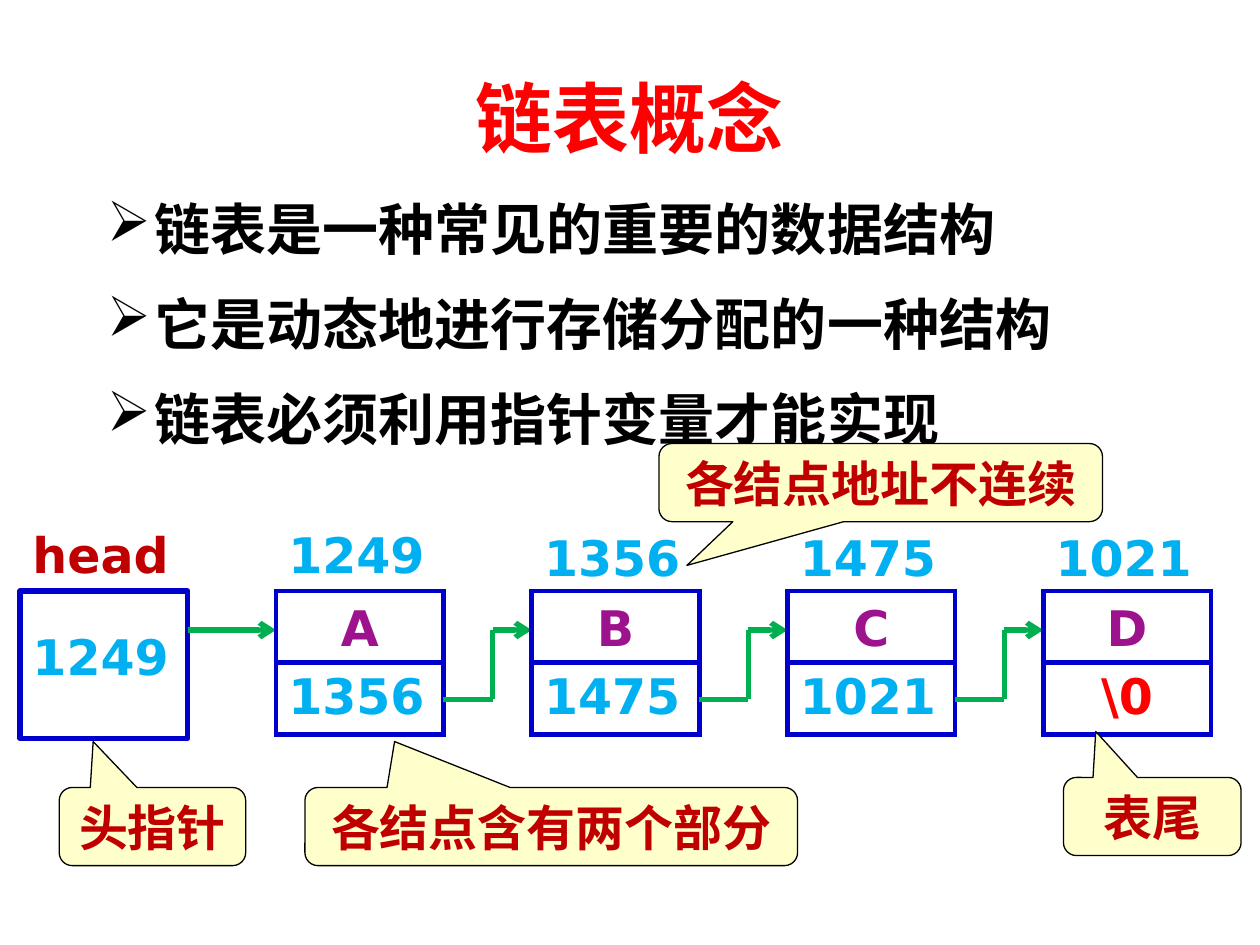
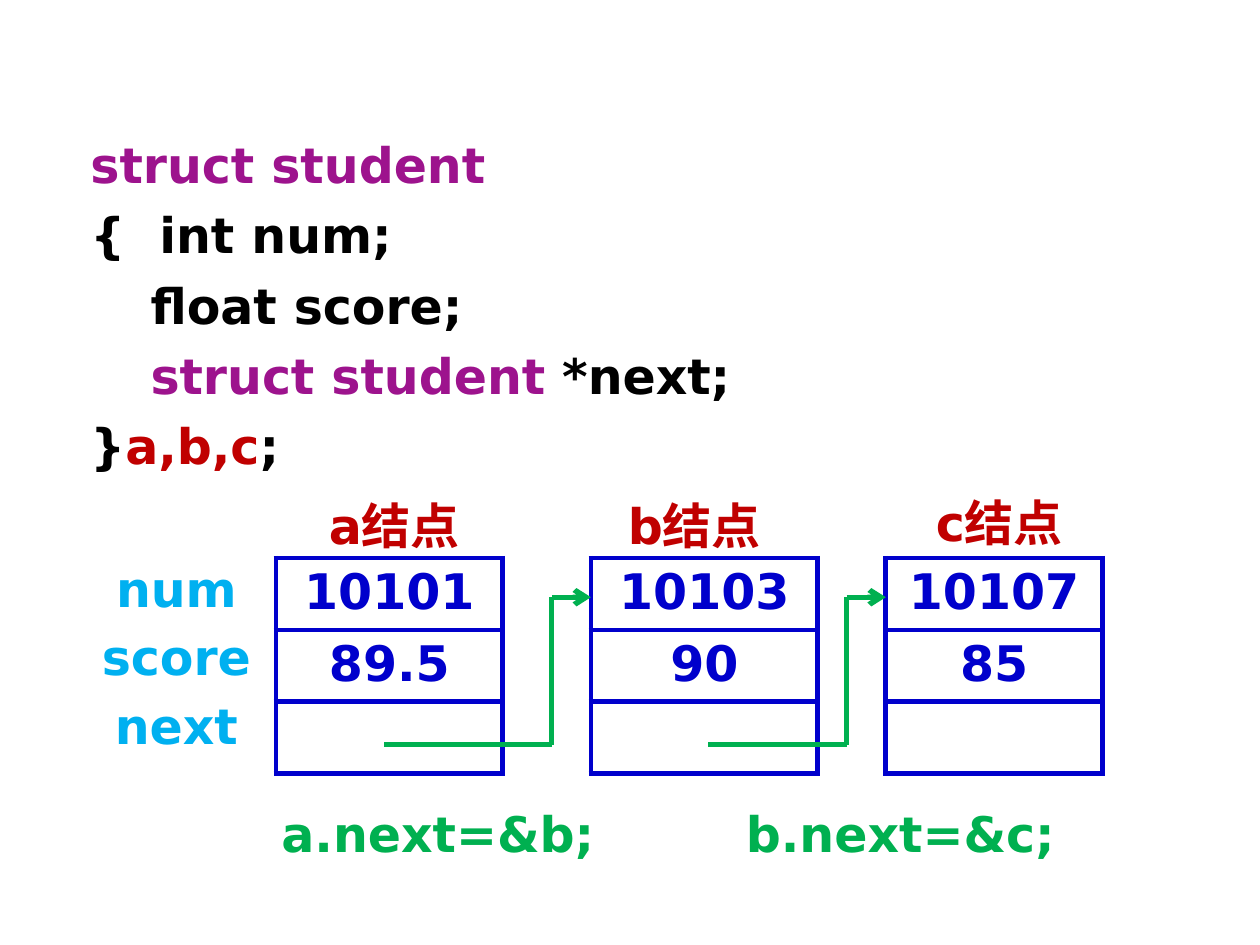
from lxml import etree
from pptx import Presentation
from pptx.dml.color import RGBColor
from pptx.enum.shapes import MSO_CONNECTOR, MSO_SHAPE
from pptx.enum.text import MSO_ANCHOR, PP_ALIGN
from pptx.oxml.ns import qn
from pptx.util import Inches, Pt

COLORS = {
    "title": "FF0000",
    "end": "FF0000",
    "text": "000000",
    "name": "C00000",
    "address": "00B0F0",
    "keyword": "9D138D",
    "frame": "0000CC",
    "link": "00B050",
    "note": "FFFFCC",
    "paper": "FFFFFF",
}
FONT = "DejaVu Sans"
LABEL_HEIGHT = 0.57
ROW_HEIGHT = 0.57
FRAME_WIDTH = Pt(3)


def color(name):
    return RGBColor.from_string(COLORS[name])


def style_font(font, color_name=None, size=28, face=FONT):
    font.name, font.size, font.bold = face, Pt(size), True
    if color_name:
        font.color.rgb = color(color_name)


def add_text_box(page, left, top, width, height):
    box = page.shapes.add_textbox(*map(Inches, (left, top, width, height)))
    box.text_frame.word_wrap = True
    return box.text_frame


def add_label(page, text, left, top, width, color_name, align=PP_ALIGN.CENTER):
    para = add_text_box(page, left, top, width, LABEL_HEIGHT).paragraphs[0]
    para.text = text
    para.alignment = align
    style_font(para.font, color_name)


def add_line(page, start, end, arrow=False):
    line = page.shapes.add_connector(MSO_CONNECTOR.STRAIGHT, *map(Inches, start + end))
    line.line.color.rgb = color("link")
    line.line.width = FRAME_WIDTH
    if arrow:
        etree.SubElement(line.line._get_or_add_ln(), qn("a:tailEnd"), type="arrow")
    etree.SubElement(line._element.spPr, qn("a:effectLst"))


def add_link(page, start, turn, end):
    corner_low, corner_high = (turn, start[1]), (turn, end[1])
    add_line(page, start, corner_low)
    add_line(page, corner_low, corner_high)
    add_line(page, corner_high, end, arrow=True)


def frame_cell(cell):
    properties = cell._tc.get_or_add_tcPr()
    for side in ("a:lnL", "a:lnR", "a:lnT", "a:lnB"):
        edge = etree.SubElement(properties, qn(side), w=str(FRAME_WIDTH))
        fill = etree.SubElement(edge, qn("a:solidFill"))
        etree.SubElement(fill, qn("a:srgbClr"), val=COLORS["frame"])
    cell.fill.solid()
    cell.fill.fore_color.rgb = color("paper")


def add_node(page, left, top, width, values):
    rows = len(values)
    frame = page.shapes.add_table(
        rows, 1, *map(Inches, (left, top, width, ROW_HEIGHT * rows))
    )
    table = frame.table
    table.first_row = table.horz_banding = False
    for row, value in enumerate(values):
        cell = table.cell(row, 0)
        frame_cell(cell)
        if value:
            para = cell.text_frame.paragraphs[0]
            para.text = value
            para.alignment = PP_ALIGN.CENTER
            style_font(para.font, "frame")


def add_shape(page, kind, box, fill, line, line_width):
    shape = page.shapes.add_shape(kind, *map(Inches, box))
    shape.shadow.inherit = False
    shape.fill.solid()
    shape.fill.fore_color.rgb = color(fill)
    shape.line.color.rgb = color(line)
    shape.line.width = line_width
    return shape


def add_callout(page, text, left, top, width, tip=(-0.318, -1.088)):
    shape = add_shape(page, MSO_SHAPE.ROUNDED_RECTANGULAR_CALLOUT,
                      (left, top, width, 0.62), "note", "text", Pt(0.75))
    shape.adjustments[0], shape.adjustments[1] = tip
    shape.text_frame.word_wrap = False
    para = shape.text_frame.paragraphs[0]
    para.text = text
    para.alignment = PP_ALIGN.CENTER
    style_font(para.font, "name")


def add_title(page, text):
    frame = add_text_box(page, 0.5, 0.3, 9, 1.25)
    frame.vertical_anchor = MSO_ANCHOR.MIDDLE
    para = frame.paragraphs[0]
    para.text = text
    para.alignment = PP_ALIGN.CENTER
    style_font(para.font, "title", 44, "Calibri")


def add_bullets(page, items, left, top, width, height):
    frame = add_text_box(page, left, top, width, height)
    for index, item in enumerate(items):
        para = frame.add_paragraph() if index else frame.paragraphs[0]
        para.text = item
        para.line_spacing = 1.2
        if index:
            para.space_before = Pt(8)
        properties = para._p.get_or_add_pPr()
        properties.set("marL", str(Inches(0.38)))
        properties.set("indent", str(-Inches(0.38)))
        etree.SubElement(properties, qn("a:buChar"), char="➢")
        style_font(para.font, "text", 32)


def add_code(page, lines, left, top, width, height):
    frame = add_text_box(page, left, top, width, height)
    for index, spans in enumerate(lines):
        para = frame.add_paragraph() if index else frame.paragraphs[0]
        if index:
            para.space_before = Pt(6.5)
        style_font(para.font)
        for text, color_name in spans:
            span = para.add_run()
            span.text = text
            span.font.color.rgb = color(color_name)


def add_address_chain(page, left, top):
    width, pitch = 1.33, 2.03
    data_y, pointer_y = top + 0.31, top + 0.86
    nodes = [("1249", "A"), ("1356", "B"), ("1475", "C"), ("1021", "D")]
    node_lefts = [left + pitch * (i + 1) for i in range(len(nodes))]

    add_shape(page, MSO_SHAPE.RECTANGLE, (left, top, width, 1.17),
              "paper", "frame", FRAME_WIDTH)
    add_label(page, "head", left, top - 0.58, width, "name", PP_ALIGN.LEFT)
    add_label(page, nodes[0][0], left, top + 0.23, width, "address", PP_ALIGN.LEFT)
    add_line(page, (left + width, data_y), (node_lefts[0], data_y), arrow=True)

    for index, (x, (address, data)) in enumerate(zip(node_lefts, nodes)):
        add_node(page, x, top, width, ["", ""])
        rise = 0.55 if index else 0.58
        add_label(page, address, x, top - rise, width, "address", PP_ALIGN.LEFT)
        add_label(page, data, x, top, width, "keyword")
        if index + 1 < len(nodes):
            add_label(page, nodes[index + 1][0], x, top + 0.54, width,
                      "address", PP_ALIGN.LEFT)
            following = node_lefts[index + 1]
            add_link(page, (x + width, pointer_y), following - 0.31,
                     (following, data_y))
        else:
            add_label(page, "\\0", x, top + 0.54, width, "end")


def add_student_chain(page, left, top):
    nodes = [
        (2.19, 1.8, ["10101", "89.5", ""]),
        (4.69, 1.8, ["10103", "90", ""]),
        (7.03, 1.72, ["10107", "85", ""]),
    ]
    names = [("a结点", 2.27, 3.88, 1.72), ("b结点", 4.69, 3.88, 1.64),
             ("c结点", 7.19, 3.86, 1.48)]
    for x, width, values in nodes:
        add_node(page, x, top, width, values)
    for text, x, y, width in names:
        add_label(page, text, x, y, width, "name")
    for index, field in enumerate(("num", "score", "next")):
        add_label(page, field, left, top - 0.05 + 0.545 * index, 1.56, "address")
    for start, following in ((3.05, 4.69), (5.62, 7.03)):
        add_link(page, (start, top + 1.48), following - 0.31,
                 (following, top + 0.31))
    for text, x in (("a.next=&b;", 1.95), ("b.next=&c;", 5.62)):
        add_label(page, text, x, top + 1.9, 3.05, "link")


def build_concept_page(page):
    add_title(page, "链表概念")
    add_bullets(page, ["链表是一种常见的重要的数据结构",
                       "它是动态地进行存储分配的一种结构",
                       "链表必须利用指针变量才能实现"], 0.75, 1.39, 8.05, 2.19)
    add_address_chain(page, 0.16, 4.69)
    add_callout(page, "头指针", 0.47, 6.25, 1.48)
    add_callout(page, "各结点地址不连续", 5.23, 3.52, 3.52, (-0.437, 1.06))
    add_callout(page, "各结点含有两个部分", 2.42, 6.25, 3.91)
    add_callout(page, "表尾", 8.44, 6.17, 1.41)


def build_struct_page(page):
    add_code(page, [
        [("struct student", "keyword")],
        [("{  int num;", "text")],
        [("　 float score;", "text")],
        [("　 ", "text"), ("struct student ", "keyword"), ("*next;", "text")],
        [("}", "text"), ("a,b,c", "name"), (";", "text")],
    ], 0.62, 1.02, 6.8, 3.12)
    add_student_chain(page, 0.62, 4.43)


def main():
    deck = Presentation()
    deck.slide_width, deck.slide_height = Inches(10), Inches(7.5)
    for build in (build_concept_page, build_struct_page):
        build(deck.slides.add_slide(deck.slide_layouts[6]))
    deck.save("out.pptx")


if __name__ == "__main__":
    main()
